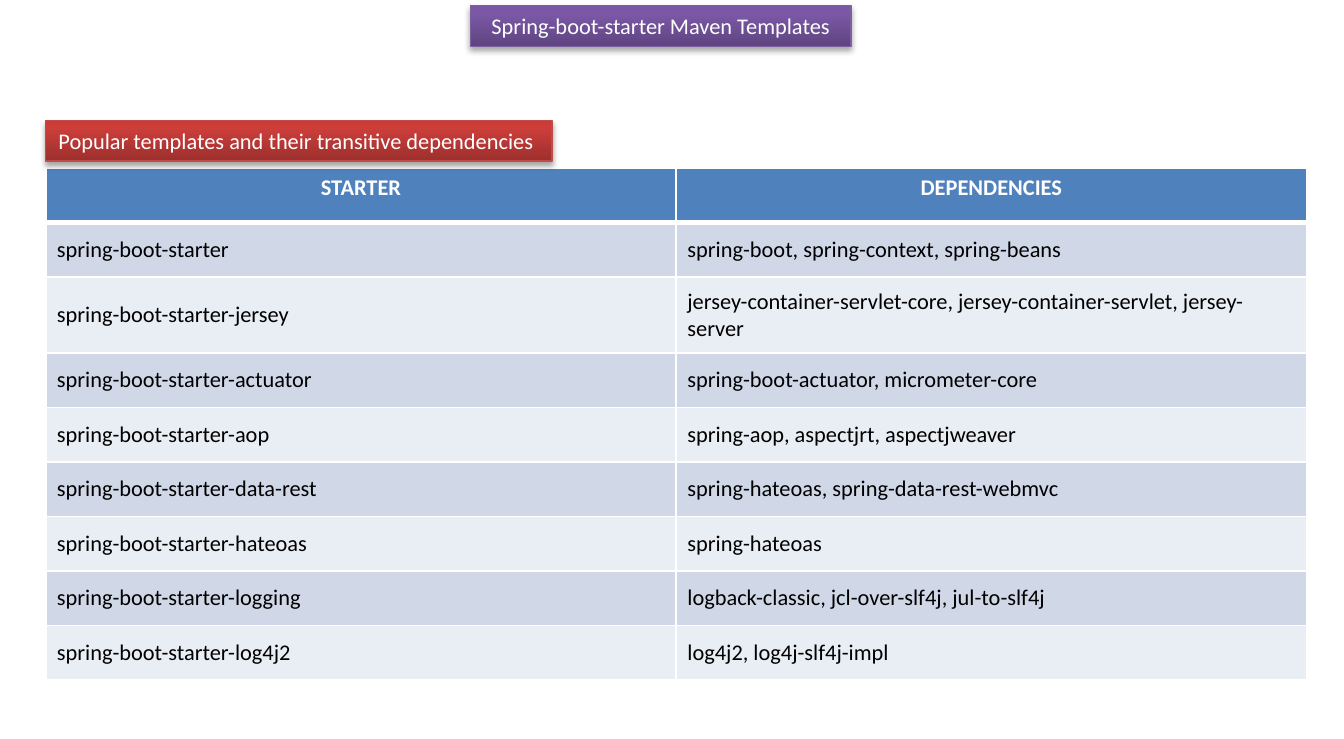
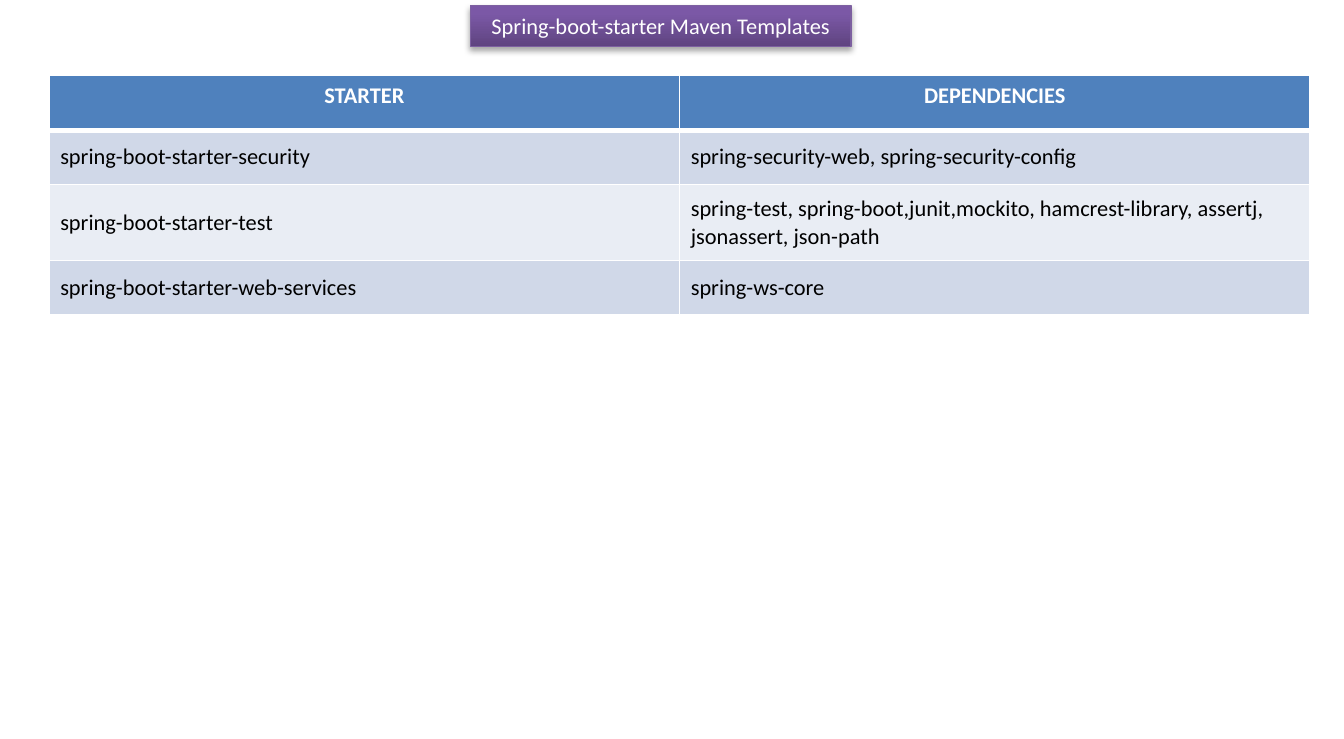
"""Two slides listing popular Spring Boot starters and their dependencies."""
from lxml import etree
from pptx import Presentation
from pptx import util as u
from pptx.dml.color import RGBColor
from pptx.enum import shapes, text
from pptx.oxml import ns

TITLE = "Spring-boot-starter Maven Templates"
LABEL = "Popular templates and their transitive dependencies"
HEADER = ("STARTER", "DEPENDENCIES")
POPULAR = [
    ("spring-boot-starter", "spring-boot, spring-context, spring-beans"),
    ("spring-boot-starter-jersey",
     "jersey-container-servlet-core, jersey-container-servlet, jersey-server"),
    ("spring-boot-starter-actuator", "spring-boot-actuator, micrometer-core"),
    ("spring-boot-starter-aop", "spring-aop, aspectjrt, aspectjweaver"),
    ("spring-boot-starter-data-rest", "spring-hateoas, spring-data-rest-webmvc"),
    ("spring-boot-starter-hateoas", "spring-hateoas"),
    ("spring-boot-starter-logging", "logback-classic, jcl-over-slf4j, jul-to-slf4j"),
    ("spring-boot-starter-log4j2", "log4j2, log4j-slf4j-impl"),
]
FURTHER = [
    ("spring-boot-starter-security", "spring-security-web, spring-security-config"),
    ("spring-boot-starter-test",
     "spring-test, spring-boot,junit,mockito, hamcrest-library, assertj, "
     "jsonassert, json-path"),
    ("spring-boot-starter-web-services", "spring-ws-core"),
]

FONT, SIZE = "Calibri", 12
WHITE, BLACK, HEADER_FILL = "FFFFFF", "000000", "4F81BD"
BANDS = ("D0D8E8", "E9EDF4")
PURPLE = {"stops": ((0, "5F4480"), (80, "7B58A6"), (100, "7C57A8")), "line": "7D60A0"}
RED = {"stops": ((0, "9C2F2D"), (80, "CB3E3A"), (100, "CE3B37")), "line": "BF4C48"}
BANNER_HEIGHT, COLUMN_WIDTH, ROW_HEIGHT, CELL_MARGIN = 21.8, 337.8, 29.2, 6
THIN, THICK = 1, 3


def rgb(value):
    return RGBColor.from_string(value)


def add_element(parent, tag, index=None, **attributes):
    element = etree.Element(ns.qn(tag), {k: str(v) for k, v in attributes.items()})
    parent.insert(len(parent) if index is None else index, element)
    return element


def style_text(paragraph, color, bold=False, align=text.PP_ALIGN.LEFT):
    paragraph.alignment = align
    for run in paragraph.runs:
        run.font.name, run.font.size = FONT, u.Pt(SIZE)
        run.font.bold, run.font.color.rgb = bold, rgb(color)


def add_banner(slide, words, left, top, width, look, align, wrap):
    banner = slide.shapes.add_shape(
        shapes.MSO_SHAPE.RECTANGLE,
        u.Pt(left), u.Pt(top), u.Pt(width), u.Pt(BANNER_HEIGHT))
    banner.line.color.rgb, banner.line.width = rgb(look["line"]), u.Pt(0.75)
    banner.shadow.inherit = False
    properties = banner._element.spPr
    gradient = add_element(properties, "a:gradFill", 2, rotWithShape=1)
    stops = add_element(gradient, "a:gsLst")
    for position, color in look["stops"]:
        stop = add_element(stops, "a:gs", pos=position * 1000)
        add_element(stop, "a:srgbClr", val=color)
    add_element(gradient, "a:lin", ang=270 * 60000, scaled=0)
    shadow = add_element(properties.find(ns.qn("a:effectLst")), "a:outerShdw",
                         blurRad=u.Pt(3.15), dist=u.Pt(1.8), dir=90 * 60000, rotWithShape=0)
    shade = add_element(shadow, "a:srgbClr", val=BLACK)
    add_element(shade, "a:alpha", val=35000)
    frame = banner.text_frame
    frame.text, frame.word_wrap = words, wrap
    frame.auto_size = text.MSO_AUTO_SIZE.SHAPE_TO_FIT_TEXT
    style_text(frame.paragraphs[0], WHITE, align=align)


def set_borders(cell, top, bottom):
    properties = cell._tc.get_or_add_tcPr()
    sides = (("L", THIN), ("R", THIN), ("T", top), ("B", bottom))
    for index, (side, width) in enumerate(sides):
        line = add_element(properties, f"a:ln{side}", index, w=u.Pt(width))
        add_element(add_element(line, "a:solidFill"), "a:srgbClr", val=WHITE)


def add_starter_table(slide, left, top, starters):
    rows = [HEADER, *starters]
    table = slide.shapes.add_table(
        len(rows), len(HEADER), u.Pt(left), u.Pt(top),
        u.Pt(COLUMN_WIDTH * len(HEADER)), u.Pt(ROW_HEIGHT * len(rows))).table
    for column in table.columns:
        column.width = u.Pt(COLUMN_WIDTH)
    for r, row in enumerate(rows):
        table.rows[r].height = u.Pt(ROW_HEIGHT)
        for c, words in enumerate(row):
            cell = table.cell(r, c)
            cell.text = words
            paragraph = cell.text_frame.paragraphs[0]
            cell.fill.solid()
            if r == 0:
                cell.fill.fore_color.rgb = rgb(HEADER_FILL)
                style_text(paragraph, WHITE, True, text.PP_ALIGN.CENTER)
            else:
                cell.fill.fore_color.rgb = rgb(BANDS[(r - 1) % 2])
                cell.vertical_anchor = text.MSO_ANCHOR.MIDDLE
                cell.margin_left = cell.margin_right = u.Pt(CELL_MARGIN)
                cell.margin_top = cell.margin_bottom = u.Pt(CELL_MARGIN)
                style_text(paragraph, BLACK)
            set_borders(cell, THICK if r == 1 else THIN, THICK if r == 0 else THIN)


def add_titled_slide(presentation):
    slide = presentation.slides.add_slide(presentation.slide_layouts[6])
    add_banner(slide, TITLE, 252, 3, 204, PURPLE, text.PP_ALIGN.CENTER, True)
    return slide


def main():
    presentation = Presentation()
    presentation.slide_width, presentation.slide_height = u.Pt(720), u.Pt(396)
    popular = add_titled_slide(presentation)
    add_starter_table(popular, 24.5, 90, POPULAR)
    add_banner(popular, LABEL, 24.2, 64.6, 271.6, RED, text.PP_ALIGN.LEFT, False)
    further = add_titled_slide(presentation)
    add_starter_table(further, 26.3, 40.5, FURTHER)
    presentation.save("out.pptx")


if __name__ == "__main__":
    main()
